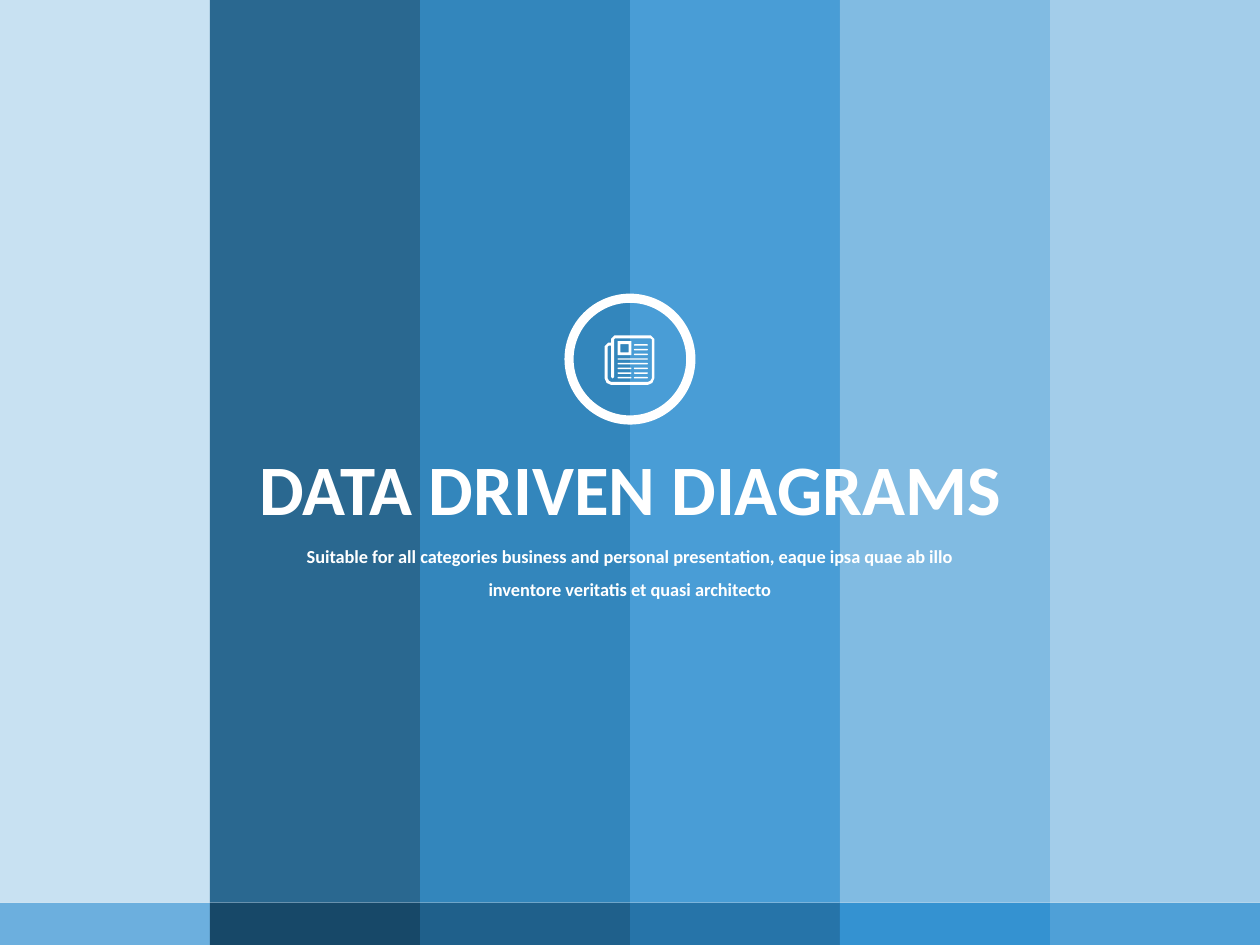
from lxml import etree
from pptx import Presentation
from pptx.dml.color import RGBColor
from pptx.enum.shapes import MSO_SHAPE
from pptx.enum.text import PP_ALIGN
from pptx.oxml.ns import qn
from pptx.util import Cm, Pt

RECT, RING = MSO_SHAPE.RECTANGLE, MSO_SHAPE.DONUT
FRAME, ROUND = MSO_SHAPE.FRAME, MSO_SHAPE.ROUNDED_RECTANGLE
CENTER = PP_ALIGN.CENTER

THEME = {
    "white": "FFFFFF",
    "bands": ["C6E0F2", "1F608B", "2980B9", "4098D4", "7BB8E1", "9FCBE9"],
    "feet": ["6CAFDE", "174868", "1F608B", "2674A9", "3492D1", "4FA0D7"],
    "font": "Calibri",
    "title": 40.5,
    "body": 10.5,
}


def paint(shape, color, alpha=None):
    """Fill a shape flat, without line or shadow; alpha is in percent."""
    shape.shadow.inherit = False
    shape.fill.solid()
    shape.fill.fore_color.rgb = RGBColor.from_string(color)
    shape.line.fill.background()
    if alpha:
        for tint in shape.element.iter(qn("a:srgbClr")):
            etree.SubElement(tint, qn("a:alpha"), val=str(alpha * 1000))


def place(shapes, kind, box, color, alpha=None):
    """Add a painted preset shape; box is left, top, width, height in cm."""
    shape = shapes.add_shape(kind, *map(Cm, box))
    paint(shape, color, alpha)
    return shape


deck = Presentation()
deck.slide_width, deck.slide_height = Cm(25.4), Cm(19.05)
slide = deck.slides.add_slide(deck.slide_layouts[6])
white = THEME["white"]

# Vertical bands and the darker strip at their feet
wide, split, full = 25.4 / 6, 18.2, 19.05
for i, color in enumerate(THEME["bands"]):
    place(slide.shapes, RECT, (i * wide, 0, wide, split), color, 95)
strip = slide.shapes.add_group_shape().shapes
for i, color in enumerate(THEME["feet"]):
    place(strip, RECT, (i * wide, split, wide, full - split), color)

# Title and subtitle
texts = [
    ("DATA DRIVEN DIAGRAMS", (4.93, 8.84, 15.57, 1.98), "title", False, 1),
    ("Suitable for all categories business and personal presentation, "
     "eaque ipsa quae ab illo inventore veritatis et quasi architecto",
     (5.56, 10.64, 14.28, 1.6), "body", True, 1.5),
]
for words, box, size, wrap, space in texts:
    frame = slide.shapes.add_textbox(*map(Cm, box)).text_frame
    frame.word_wrap = wrap
    para = frame.paragraphs[0]
    para.text = words
    para.alignment, para.line_spacing = CENTER, space
    style = {"name": THEME["font"], "size": Pt(THEME[size]), "bold": True}
    for key, value in style.items():
        setattr(para.font, key, value)
    para.font.color.rgb = RGBColor.from_string(white)

# Ring around the icon
ring = place(slide.shapes, RING, (11.38, 5.92, 2.64, 2.64), white)
ring.adjustments[0] = 0.07

# Newspaper icon: sheet outline in hundredths of a cm, outer then inner edge
icon = slide.shapes.add_group_shape().shapes
outer = [(1232, 683), (1239, 676), (1312, 676), (1319, 683), (1319, 763),
         (1315, 772), (1306, 776), (1232, 776), (1223, 772), (1219, 763),
         (1219, 698), (1226, 691), (1232, 691)]
inner = [(1314, 763), (1311, 768), (1306, 770), (1232, 770), (1228, 768),
         (1225, 763), (1225, 699), (1227, 697), (1232, 697), (1232, 760),
         (1235, 763), (1238, 760), (1238, 684), (1240, 682), (1311, 682),
         (1314, 684)]
pen = icon.build_freeform(*outer[0], scale=Cm(0.01))
pen.add_line_segments(outer[1:])
pen.move_to(*inner[0])
pen.add_line_segments(inner[1:])
paint(pen.convert_to_shape(), white)

photo = place(icon, FRAME, (12.45, 6.88, 0.28, 0.28), white)
photo.adjustments[0] = 0.2

# Lines of print: three beside the photo, two wide, three in two columns
left, right, short, long = 12.45, 12.78, 0.28, 0.61
beside, across = [(right, short)], [(left, long)]
both = [(left, short), (right, short)]
rows = [beside] * 3 + [across] * 2 + [both] * 3
for i, row in enumerate(rows):
    for x, width in row:
        line = place(icon, ROUND, (x, 6.94 + i * 0.66 / 7, width, 0.03), white)
        line.adjustments[0] = 0.5

deck.save("out.pptx")
